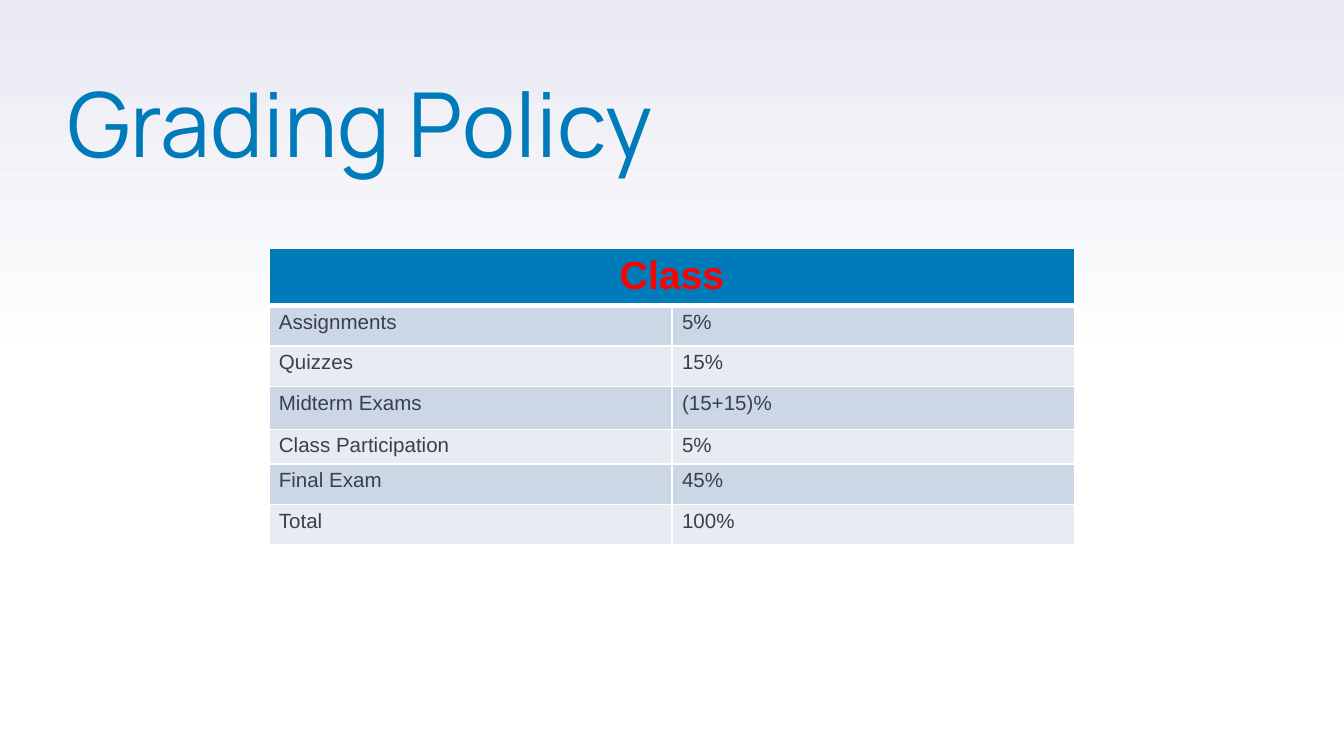
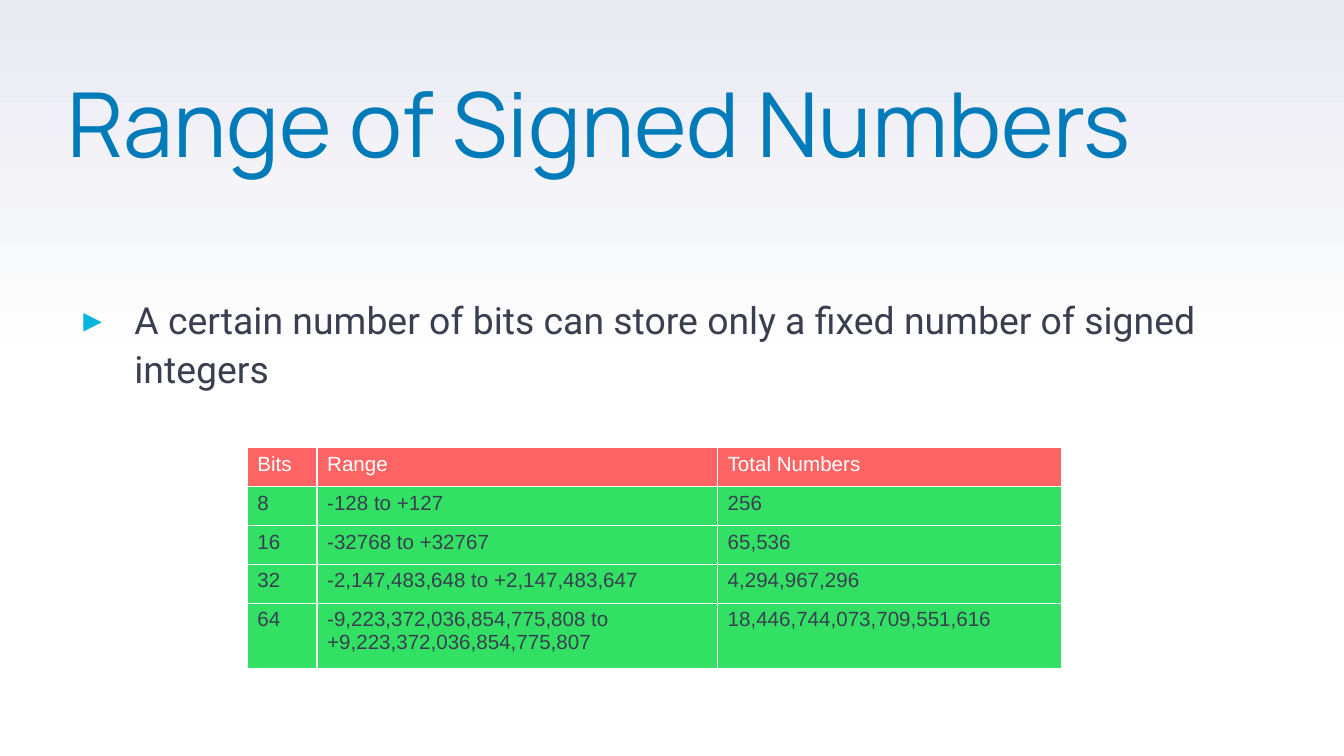
import pptx
import pptx.dml.color
import pptx.enum.text
import pptx.oxml
import pptx.oxml.ns
import pptx.util
from pptx.util import Inches

BLUE, CYAN, INK, WHITE = "007BB9", "00B5DD", "3A3F50", "FFFFFF"
LAVENDER, RED, CORAL, GREEN = "E9EAF2", "FF0000", "FF6464", "32E164"
STRIPES = ("CCD7E6", "E7ECF3")
TITLE_BOX = (0.5, 0.66, 9.32, 1.18)
BODY_BOX = (0.5, 2.18, 9.32, 2.93)
NO_INSETS = dict.fromkeys(("margin_left", "margin_top", "margin_right", "margin_bottom"), 0)
SIDE_INSET = Inches(0.15) // 2
CELL_INSETS = {
    "margin_left": SIDE_INSET, "margin_right": SIDE_INSET,
    "margin_top": SIDE_INSET // 2, "margin_bottom": SIDE_INSET // 2,
}
TITLE_FONT = {"name": "Manrope", "size": pptx.util.Pt(48)}
BODY_FONT = {"name": "Roboto", "size": pptx.util.Pt(20)}
CELL_FONT = {"name": "Arial", "size": pptx.util.Pt(11), "bold": False}
CLASS_FONT = {"name": "Arial", "size": pptx.util.Pt(21), "bold": True}

GRADES = [
    ("Class", ""),
    ("Assignments", "5%"),
    ("Quizzes", "15%"),
    ("Midterm Exams", "(15+15)%"),
    ("Class Participation", "5%"),
    ("Final Exam", "45%"),
    ("Total", "100%"),
]
RANGES = [
    ("Bits", "Range", "Total Numbers"),
    ("8", "-128 to +127", "256"),
    ("16", "-32768 to +32767", "65,536"),
    ("32", "-2,147,483,648 to +2,147,483,647", "4,294,967,296"),
    ("64", "-9,223,372,036,854,775,808 to +9,223,372,036,854,775,807",
     "18,446,744,073,709,551,616"),
]


def rgb(value):
    """Turn a hex string into a colour."""
    return pptx.dml.color.RGBColor.from_string(value)


def apply_format(target, values):
    """Set each named attribute on the target."""
    for name, value in values.items():
        setattr(target, name, value)


def write(paragraph, text, font, color):
    """Add one formatted run to a paragraph."""
    run = paragraph.add_run()
    run.text = text
    apply_format(run.font, font)
    run.font.color.rgb = rgb(color)


def add_element(parent, tag, xml_attributes=""):
    """Append a drawing element to its parent."""
    element = pptx.oxml.parse_xml(
        f'<a:{tag} {pptx.oxml.ns.nsdecls("a")} {xml_attributes}/>')
    parent.append(element)
    return element


def add_text_frame(slide, box):
    """Add a wrapping text box without insets."""
    frame = slide.shapes.add_textbox(*map(Inches, box)).text_frame
    apply_format(frame, {"word_wrap": True, **NO_INSETS})
    return frame


def add_titled_slide(deck, title):
    """Add a slide with the shared gradient and title."""
    slide = deck.slides.add_slide(deck.slide_layouts[6])
    backdrop = slide.background.fill
    backdrop.gradient()
    backdrop.gradient_angle = 90
    for stop, position, color in zip(backdrop.gradient_stops, (0.5, 1), (WHITE, LAVENDER)):
        stop.position = position
        stop.color.rgb = rgb(color)
    heading = add_text_frame(slide, TITLE_BOX).paragraphs[0]
    heading.line_spacing = 0.8
    write(heading, title, TITLE_FONT, BLUE)
    return slide


def add_bullet(slide, box, text):
    """Add a body text with a triangular bullet."""
    point = add_text_frame(slide, box).paragraphs[0]
    properties = point._p.get_or_add_pPr()
    properties.set("marL", str(Inches(0.5)))
    properties.set("indent", str(Inches(-0.38)))
    add_element(add_element(properties, "buClr"), "srgbClr", f'val="{CYAN}"')
    add_element(properties, "buFont", f'typeface="{BODY_FONT["name"]}"')
    add_element(properties, "buChar", 'char="▸"')
    point.line_spacing = 1.1
    write(point, text, BODY_FONT, INK)


def style_cell(cell, fill, top=1, bottom=1):
    """Give a cell white borders, insets and a fill."""
    properties = cell._tc.get_or_add_tcPr()
    for side, width in zip("LRTB", (1, 1, top, bottom)):
        line = add_element(properties, f"ln{side}", f'w="{pptx.util.Pt(width)}"')
        add_element(add_element(line, "solidFill"), "srgbClr", f'val="{WHITE}"')
    apply_format(cell, CELL_INSETS)
    cell.fill.solid()
    cell.fill.fore_color.rgb = rgb(fill)


def add_grid(slide, origin, widths, heights, rows, header, stripes, rule):
    """Add a table with a header (fill, font, text colour) and a rule below it."""
    size = (sum(widths), sum(heights))
    grid = slide.shapes.add_table(
        len(rows), len(widths), *map(Inches, origin + size)).table
    for column, width in zip(grid.columns, widths):
        column.width = Inches(width)
    header_fill, header_font, header_color = header
    for index, (row, height, texts) in enumerate(zip(grid.rows, heights, rows)):
        row.height = Inches(height)
        for cell, text in zip(row.cells, texts):
            if index == 0:
                style_cell(cell, header_fill, bottom=rule)
                font, color = header_font, header_color
            else:
                style_cell(cell, stripes[(index - 1) % len(stripes)],
                           top=rule if index == 1 else 1)
                font, color = CELL_FONT, INK
            if text:
                write(cell.text_frame.paragraphs[0], text, font, color)
    return grid


def add_grading_slide(deck):
    """Show the weight of each part of the grade."""
    slide = add_titled_slide(deck, "Grading Policy")
    grades = add_grid(
        slide, (2, 1.85), (3, 3), (0.42, 0.3, 0.3, 0.32, 0.14, 0.3, 0.3),
        GRADES, (BLUE, CLASS_FONT, RED), STRIPES, rule=3)
    class_cell = grades.cell(0, 0)
    class_cell.merge(grades.cell(0, 1))
    class_cell.text_frame.paragraphs[0].alignment = pptx.enum.text.PP_ALIGN.CENTER


def add_range_slide(deck):
    """Show the signed range for each number of bits."""
    slide = add_titled_slide(deck, "Range of Signed Numbers")
    add_bullet(slide, BODY_BOX,
               "A certain number of bits can store only a fixed number of signed integers")
    add_grid(slide, (1.84, 3.33), (0.52, 2.98, 2.56), (0.29,) * 4 + (0.49,),
             RANGES, (CORAL, CELL_FONT, WHITE), (GREEN,), rule=1)


def main():
    """Build and save the deck."""
    deck = pptx.Presentation()
    width = Inches(10)
    apply_format(deck, {"slide_width": width, "slide_height": width * 9 // 16})
    add_grading_slide(deck)
    add_range_slide(deck)
    deck.save("out.pptx")


if __name__ == "__main__":
    main()
